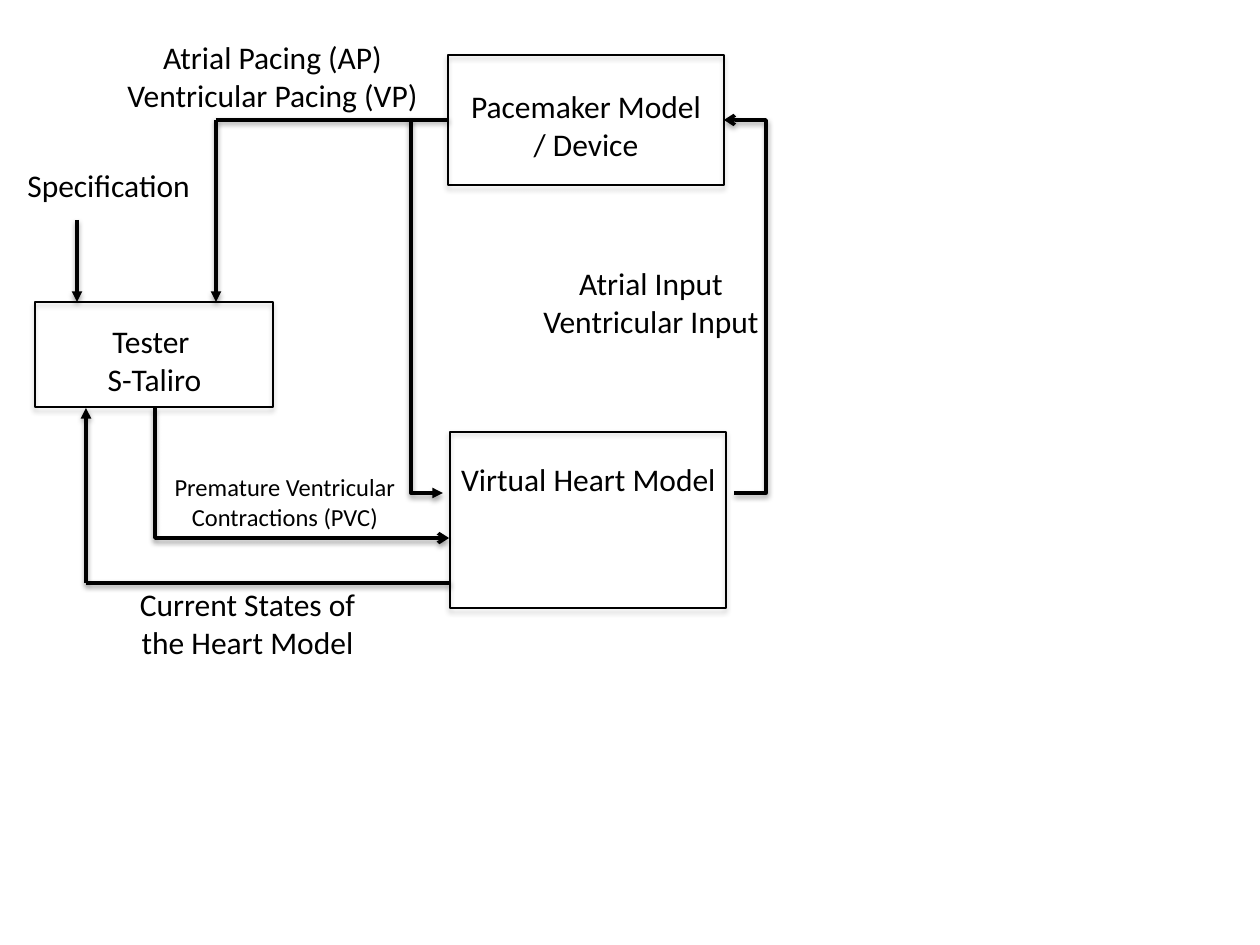
from dataclasses import dataclass

from lxml.etree import SubElement
from pptx import Presentation
from pptx.dml.color import RGBColor
from pptx.enum.shapes import MSO_CONNECTOR as CONN, MSO_SHAPE as SHAPE
from pptx.enum.text import MSO_AUTO_SIZE as AUTO, PP_ALIGN as ALIGN
from pptx.oxml.ns import qn
from pptx.util import Emu, Inches, Pt

PX = Inches(1) // 126
LEFT, RIGHT = 1, 3  # connection sites


@dataclass(frozen=True)
class Theme:
    font: str = "Calibri"
    ink: RGBColor = RGBColor(0, 0, 0)
    label: int = 18
    small: int = 14
    border: float = 0.75
    wire: float = 2
    box_shadow: tuple = (35, 1.8)  # opacity in percent, distance in points
    wire_shadow: tuple = (38, 1.6)
    blur: float = 3.1


class Diagram:
    def __init__(self, slide, theme):
        self.s = slide
        self.theme = theme

    def shadow(self, effects, opacity, distance):
        outer = SubElement(effects, qn("a:outerShdw"), blurRad=str(Pt(self.theme.blur)),
                           dist=str(Pt(distance)), dir="5400000", rotWithShape="0")
        color = SubElement(outer, qn("a:srgbClr"), val=str(self.theme.ink))
        SubElement(color, qn("a:alpha"), val=str(opacity * 1000))

    def text(self, lines, x, y, w, h, size=None, align=ALIGN.CENTER, shapes=None):
        tb = (shapes or self.s.shapes).add_textbox(*(Emu(v * PX) for v in (x, y, w, h)))
        tf = tb.text_frame
        tf.text = lines
        tf.word_wrap = False
        tf.auto_size = AUTO.SHAPE_TO_FIT_TEXT
        for p in tf.paragraphs:
            p.alignment = align
            for r in p.runs:
                r.font.name = self.theme.font
                r.font.size = Pt(size or self.theme.label)
                r.font.color.rgb = self.theme.ink

    def block(self, frame, lines, text_frame):
        """A bordered box grouped with its caption."""
        group = self.s.shapes.add_group_shape()
        sp = group.shapes.add_shape(SHAPE.RECTANGLE, *(Emu(v * PX) for v in frame))
        sp.fill.background()
        sp.line.color.rgb = self.theme.ink
        sp.line.width = Pt(self.theme.border)
        sp.shadow.inherit = False
        self.shadow(sp._element.spPr.find(qn("a:effectLst")), *self.theme.box_shadow)
        self.text(lines, *text_frame, shapes=group.shapes)
        return sp

    def wire(self, start, end, head=None, kind=CONN.STRAIGHT):
        c = self.s.shapes.add_connector(kind, *(Emu(v * PX) for v in (*start, *end)))
        c.line.color.rgb = self.theme.ink
        c.line.width = Pt(self.theme.wire)
        spPr = c._element.spPr
        if head:
            SubElement(spPr.find(qn("a:ln")), qn("a:tailEnd"), type=head)
        self.shadow(SubElement(spPr, qn("a:effectLst")), *self.theme.wire_shadow)
        return c

    def side_loop(self, start, end, via_x, head):
        """Elbow that runs out to via_x, along it, and back."""
        c = self.wire(start, end, head, CONN.ELBOW)
        geom = c._element.spPr.find(qn("a:prstGeom"))
        bend = round((via_x - start[0]) / (end[0] - start[0]) * 100000)
        SubElement(geom.get_or_add_avLst(), qn("a:gd"), name="adj1", fmla=f"val {bend}")
        return c

    def down_right(self, start, end, head):
        """Elbow that drops first, then runs right: a quarter-turned corner."""
        (x1, y1), (x2, y2) = start, end
        cx, cy = (x1 + x2) / 2, (y1 + y2) / 2
        half_w, half_h = (y2 - y1) / 2, (x2 - x1) / 2
        c = self.wire((round(cx + half_w), round(cy - half_h)),
                      (round(cx - half_w), round(cy + half_h)), head, CONN.ELBOW)
        spPr = c._element.spPr
        spPr.find(qn("a:prstGeom")).set("prst", "bentConnector2")
        spPr.find(qn("a:xfrm")).set("rot", "16200000")


def main():
    prs = Presentation()
    prs.slide_width, prs.slide_height = Inches(10), Inches(7.5)
    theme = Theme()
    d = Diagram(prs.slides.add_slide(prs.slide_layouts[6]), theme)

    # Models and tester
    pacemaker = d.block((448, 55, 276, 130), "Pacemaker Model \n/ Device", (456, 81, 260, 102))
    d.block((450, 432, 276, 176), "Virtual Heart Model", (443, 454, 291, 79))
    d.block((35, 302, 238, 105), "Tester \nS-Taliro", (93, 316, 123, 89))

    # Signals between pacemaker and heart
    pace_y, heart_y = 120, 493
    inputs = d.side_loop((734, heart_y), (724, pace_y), 766, "arrow")
    inputs.end_connect(pacemaker, RIGHT)
    pacing = d.side_loop((448, pace_y), (443, heart_y), 411, "triangle")
    pacing.begin_connect(pacemaker, LEFT)

    # Signals to and from the tester
    tester_top, tester_bottom, state_y = 302, 408, 583
    d.down_right((155, tester_bottom), (449, 538), "arrow")
    d.wire((216, pace_y), (411, pace_y))
    d.wire((216, pace_y), (216, tester_top), "triangle")
    d.wire((86, state_y), (450, state_y))
    d.wire((86, state_y), (86, tester_bottom), "triangle")
    d.wire((77, 220), (77, tester_top), "triangle")

    # Signal labels
    d.text("Atrial Pacing (AP)\nVentricular Pacing (VP)", 112, 32, 321, 89)
    d.text("Atrial Input\nVentricular Input", 529, 258, 244, 89)
    d.text("Current States of \nthe Heart Model", 124, 579, 247, 89)
    d.text("Premature Ventricular\nContractions (PVC)", 160, 466, 250, 72, theme.small)
    d.text("Specification", 15, 160, 190, 50, align=ALIGN.LEFT)

    prs.save("out.pptx")


if __name__ == "__main__":
    main()
